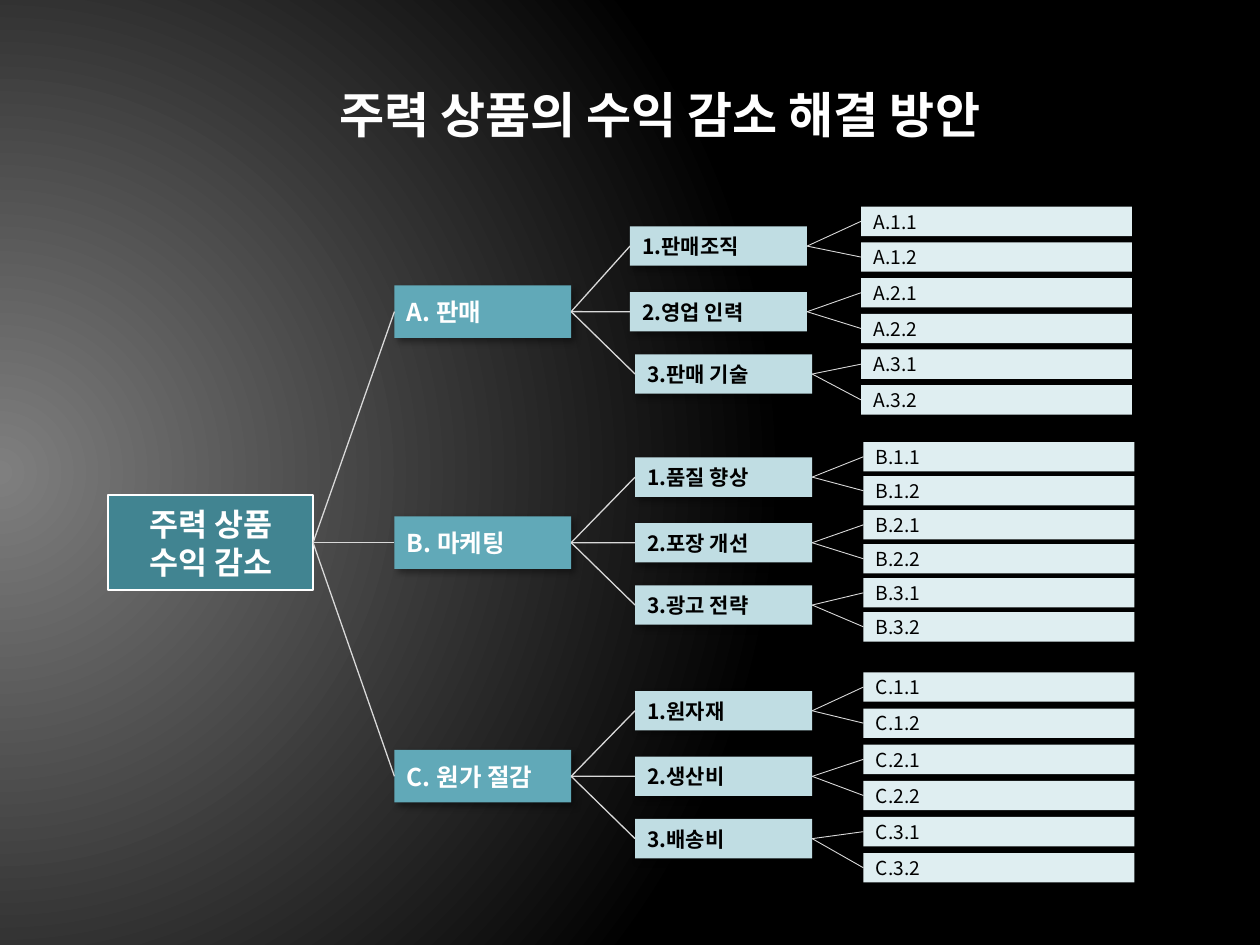
from lxml.etree import SubElement
from pptx import Presentation
from pptx.dml.color import RGBColor
from pptx.enum.shapes import MSO_CONNECTOR as Link, MSO_SHAPE as Shape
from pptx.enum.text import MSO_ANCHOR as Anchor, PP_ALIGN as Align
from pptx.oxml.ns import qn
from pptx.util import Pt

WHITE = RGBColor(0xFF, 0xFF, 0xFF)
BLACK = RGBColor(0x00, 0x00, 0x00)
GLOW = RGBColor(0x7F, 0x7F, 0x7F)
DEEP_TEAL = RGBColor(0x41, 0x84, 0x91)
TEAL = RGBColor(0x61, 0xA9, 0xB8)
PALE_TEAL = RGBColor(0xC0, 0xDD, 0xE3)
ICE = RGBColor(0xDF, 0xEE, 0xF1)
LINK_GRAY = RGBColor(0xD9, 0xD9, 0xD9)

BRANCHES = [
    ("A", "판매", 163.1, ["판매조직", "영업 인력", "판매 기술"], [360, 360, 362.9], 492, 118.1, 20.4),
    ("B", "마케팅", 295.1, ["품질 향상", "포장 개선", "광고 전략"], [362.9] * 3, 493.4, 252.6, 19.44),
    ("C", "원가 절감", 428.6, ["원자재", "생산비", "배송비"], [362.9] * 3, 493.4, 384.2, 20.66),
]
FACTOR_OFFSETS = [-33.7, 3.8, 39.4]


class TreeSlide:
    font = "Noto Sans CJK KR"

    def __init__(self, deck):
        self.slide = deck.slides.add_slide(deck.slide_layouts[6])

    def background(self, center, edge):
        fill = self.slide.background.fill
        fill.gradient()
        for stop, color in zip(fill.gradient_stops, (center, edge)):
            stop.color.rgb = color
        gradient = self.slide.element.xpath(".//p:bg//a:gradFill")[0]
        gradient.remove(gradient.find(qn("a:lin")))
        circle = SubElement(gradient, qn("a:path"), path="circle")
        SubElement(circle, qn("a:fillToRect"), l="0", t="45000", r="100000", b="45000")

    def label(self, shape, text, size, color, bold, align):
        frame = shape.text_frame
        frame.word_wrap = True
        frame.margin_top = frame.margin_bottom = Pt(0)
        frame.vertical_anchor = Anchor.MIDDLE
        frame.text = text
        paragraph = frame.paragraphs[0]
        paragraph.alignment = align
        for run in paragraph.runs:
            run.font.size = Pt(size)
            run.font.bold = bold
            run.font.color.rgb = color
            run.font.name = self.font
            SubElement(run._r.get_or_add_rPr(), qn("a:ea"), typeface=self.font)
        return paragraph

    def title(self, text, left, top, width, height):
        box = self.slide.shapes.add_textbox(Pt(left), Pt(top), Pt(width), Pt(height))
        self.label(box, text, 28, WHITE, True, Align.CENTER)

    def box(self, text, left, top, width, height, fill, size, color=BLACK,
            bold=True, align=Align.LEFT, shadow=False, border=None):
        box = self.slide.shapes.add_shape(
            Shape.RECTANGLE, Pt(left), Pt(top), Pt(width), Pt(height))
        box.fill.solid()
        box.fill.fore_color.rgb = fill
        if border is None:
            box.line.fill.background()
        else:
            box.line.color.rgb = border
            box.line.width = Pt(1.25)
        box.shadow.inherit = False
        if shadow:
            self.cast_shadow(box)
        return self.label(box, text, size, color, bold, align)

    def cast_shadow(self, box):
        effects = box.element.spPr.find(qn("a:effectLst"))
        outer = SubElement(effects, qn("a:outerShdw"), blurRad=str(Pt(4)),
                           dist=str(Pt(3)), dir="2700000", algn="tl", rotWithShape="0")
        tint = SubElement(outer, qn("a:srgbClr"), val=str(BLACK))
        SubElement(tint, qn("a:alpha"), val="40000")

    def link(self, start, end, weight=0.75):
        line = self.slide.shapes.add_connector(
            Link.STRAIGHT, *(Pt(value) for value in (*start, *end)))
        line.line.color.rgb = LINK_GRAY
        line.line.width = Pt(weight)
        SubElement(line._element.spPr, qn("a:effectLst"))


def main():
    deck = Presentation()
    deck.slide_width, deck.slide_height = Pt(720), Pt(540)
    tree = TreeSlide(deck)
    tree.background(GLOW, BLACK)

    problem = tree.box("주력 상품\v수익 감소", 61.9, 283, 117, 54, DEEP_TEAL, 18,
                       WHITE, align=Align.CENTER, border=WHITE)
    problem.line_spacing = Pt(21.6)
    problem_port = (178.9, 310.1)

    for letter, area, top, factors, lefts, leaf_left, leaf_top, pitch in BRANCHES:
        middle = top + 15
        tree.box(f"{letter}. {area}", 225.4, top, 101, 30, TEAL, 14, WHITE, shadow=True)
        tree.link(problem_port, (225.4, middle))
        for index, (factor, left, offset) in enumerate(zip(factors, lefts, FACTOR_OFFSETS)):
            factor_middle = top + offset + 11.25
            tree.box(f"{index + 1}.{factor}", left, top + offset, 101.2, 22.5,
                     PALE_TEAL, 12, shadow=True)
            tree.link((326.4, middle), (left, factor_middle))
            for half in range(2):
                row_top = leaf_top + (2 * index + half) * pitch
                tree.box(f"{letter}.{index + 1}.{half + 1}", leaf_left, row_top,
                         154.8, 16.8, ICE, 11, bold=False)
                tree.link((left + 101.2, factor_middle), (leaf_left, row_top + 8.4), 0.5)

    tree.title("주력 상품의 수익 감소 해결 방안", 151.9, 44.6, 450, 41)
    deck.save("out.pptx")


if __name__ == "__main__":
    main()
